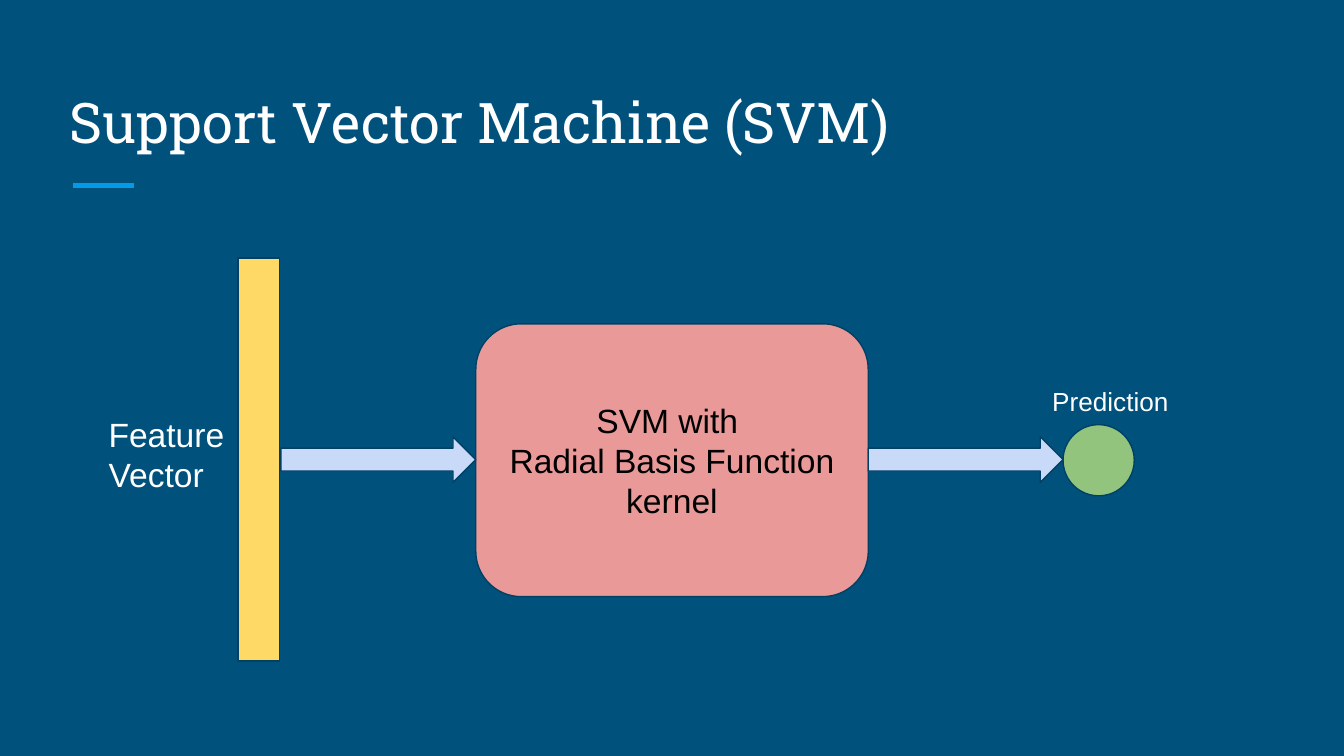
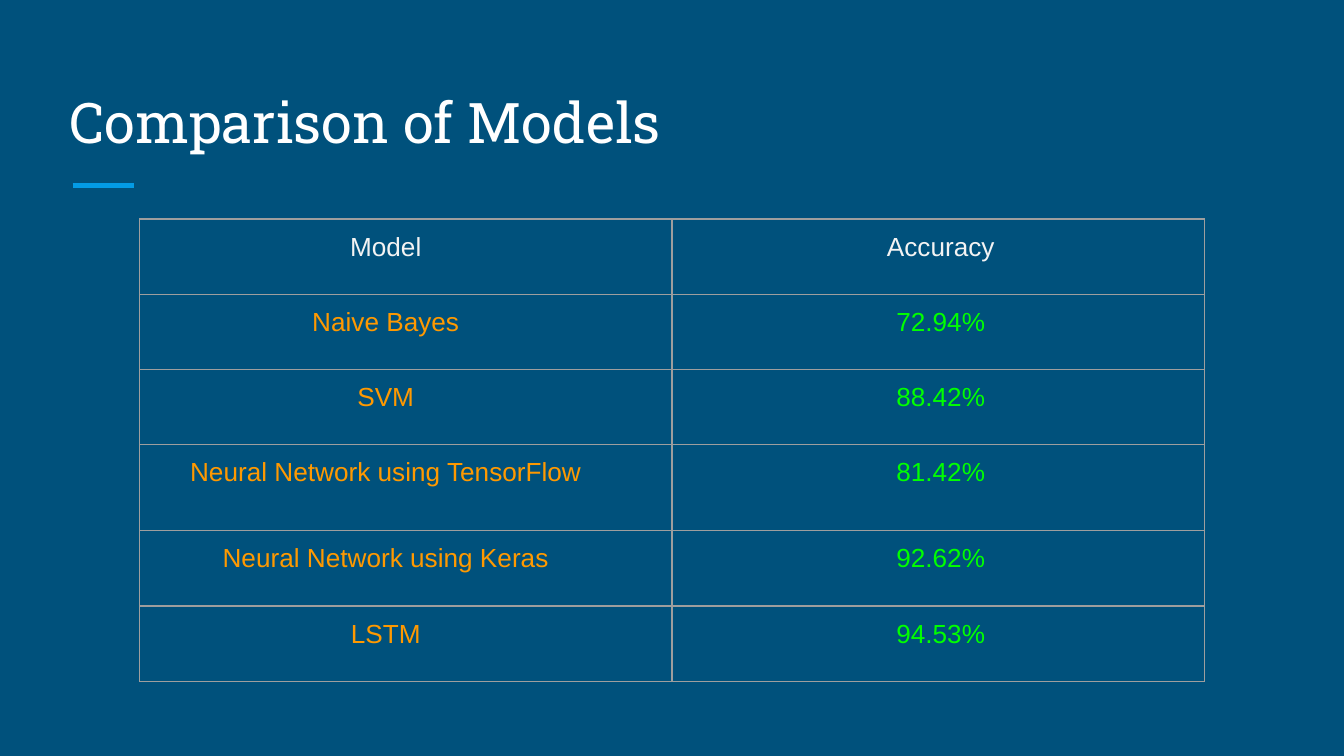
"""Build two slides: an SVM diagram and a table that compares models."""
from lxml.etree import SubElement
from pptx import Presentation
from pptx.dml.color import RGBColor
from pptx.enum.shapes import MSO_CONNECTOR, MSO_SHAPE
from pptx.enum.text import MSO_ANCHOR, PP_ALIGN
from pptx.oxml.ns import qn
from pptx.util import Inches, Pt

HUES = {
    "back": "00517C", "rule": "039BE5", "edge": "004065", "white": "FFFFFF",
    "black": "000000", "gold": "FFD966", "rose": "EA9999", "green": "93C47D",
    "pale": "C9DAF8", "grid": "9E9E9E", "head": "F3F3F3", "name": "FF9900",
    "score": "00FF00",
}


def write(frame, text, size=18, font="Arial", hue="white",
          align=PP_ALIGN.LEFT, anchor=MSO_ANCHOR.TOP):
    frame.word_wrap = True
    frame.vertical_anchor = anchor
    frame.margin_left = frame.margin_right = Inches(0.1)
    frame.margin_top = frame.margin_bottom = Inches(0.1)
    frame.text = text
    for para in frame.paragraphs:
        para.alignment = align
        for run in para.runs:
            run.font.size = Pt(size)
            run.font.name = font
            run.font.color.rgb = RGBColor.from_string(HUES[hue])


def draw(slide, kind, box, hue):
    shape = slide.shapes.add_shape(kind, *map(Inches, box))
    shape.shadow.inherit = False
    shape.fill.solid()
    shape.fill.fore_color.rgb = RGBColor.from_string(HUES[hue])
    shape.line.color.rgb = RGBColor.from_string(HUES["edge"])
    shape.line.width = Pt(0.75)
    return shape


deck = Presentation()
deck.slide_width = Inches(10)
deck.slide_height = deck.slide_width * 9 // 16
fill = deck.slide_master.background.fill
fill.solid()
fill.fore_color.rgb = RGBColor.from_string(HUES["back"])

slides = []
for title in ("Support Vector Machine (SVM)", "Comparison of Models"):
    slide = deck.slides.add_slide(deck.slide_layouts[6])
    rule = slide.shapes.add_connector(
        MSO_CONNECTOR.STRAIGHT, Inches(0.54), Inches(1.38), Inches(1), Inches(1.38))
    rule.line.color.rgb = RGBColor.from_string(HUES["rule"])
    rule.line.width = Pt(3)
    SubElement(rule._element.spPr, qn("a:effectLst"))
    box = slide.shapes.add_textbox(Inches(0.42), Inches(0.5), Inches(9.15), Inches(0.75))
    write(box.text_frame, title, size=30, font="Roboto Slab", anchor=MSO_ANCHOR.BOTTOM)
    slides.append(slide)
chart, score = slides

draw(chart, MSO_SHAPE.RECTANGLE, (1.77, 1.92, 0.31, 3), "gold")
model = draw(chart, MSO_SHAPE.ROUNDED_RECTANGLE, (3.54, 2.41, 2.92, 2.03), "rose")
write(model.text_frame, "SVM with \nRadial Basis Function kernel", hue="black",
      align=PP_ALIGN.CENTER, anchor=MSO_ANCHOR.MIDDLE)
draw(chart, MSO_SHAPE.OVAL, (7.91, 3.16, 0.53, 0.53), "green")
for left in (2.09, 6.46):
    draw(chart, MSO_SHAPE.RIGHT_ARROW, (left, 3.25, 1.45, 0.34), "pale")
for text, size, place in (
    ("Feature Vector", 18, (0.71, 2.98, 1.2, 0.92)),
    ("Prediction", 14, (7.73, 2.77, 1.29, 0.48)),
):
    box = chart.shapes.add_textbox(*map(Inches, place))
    write(box.text_frame, text, size=size)

rows = [
    ("Model", "Accuracy"),
    ("Naive Bayes", "72.94%"),
    ("SVM", "88.42%"),
    ("Neural Network using TensorFlow", "81.42%"),
    ("Neural Network using Keras", "92.62%"),
    ("LSTM", "94.53%"),
]
highs = [0.56, 0.56, 0.56, 0.64, 0.56, 0.56]
table = score.shapes.add_table(
    len(rows), 2, Inches(1.04), Inches(1.63), Inches(7.92), Inches(sum(highs))).table
table.first_row = table.horz_banding = False
for r, (row, high) in enumerate(zip(rows, highs)):
    table.rows[r].height = Inches(high)
    for c, text in enumerate(row):
        cell = table.cell(r, c)
        hue = ("name", "score")[c] if r else "head"
        write(cell.text_frame, text, size=14, hue=hue, align=PP_ALIGN.CENTER)
        cell.margin_left = cell.margin_top = cell.margin_bottom = Inches(0.1)
        cell.margin_right = Inches((0.4, 0.06)[c])
        cell.vertical_anchor = MSO_ANCHOR.TOP
        props = cell._tc.get_or_add_tcPr()
        for side in ("lnL", "lnR", "lnT", "lnB"):
            line = SubElement(props, qn("a:" + side), w=str(Pt(0.75)))
            paint = SubElement(line, qn("a:solidFill"))
            SubElement(paint, qn("a:srgbClr"), val=HUES["grid"])
        cell.fill.background()

deck.save("out.pptx")
